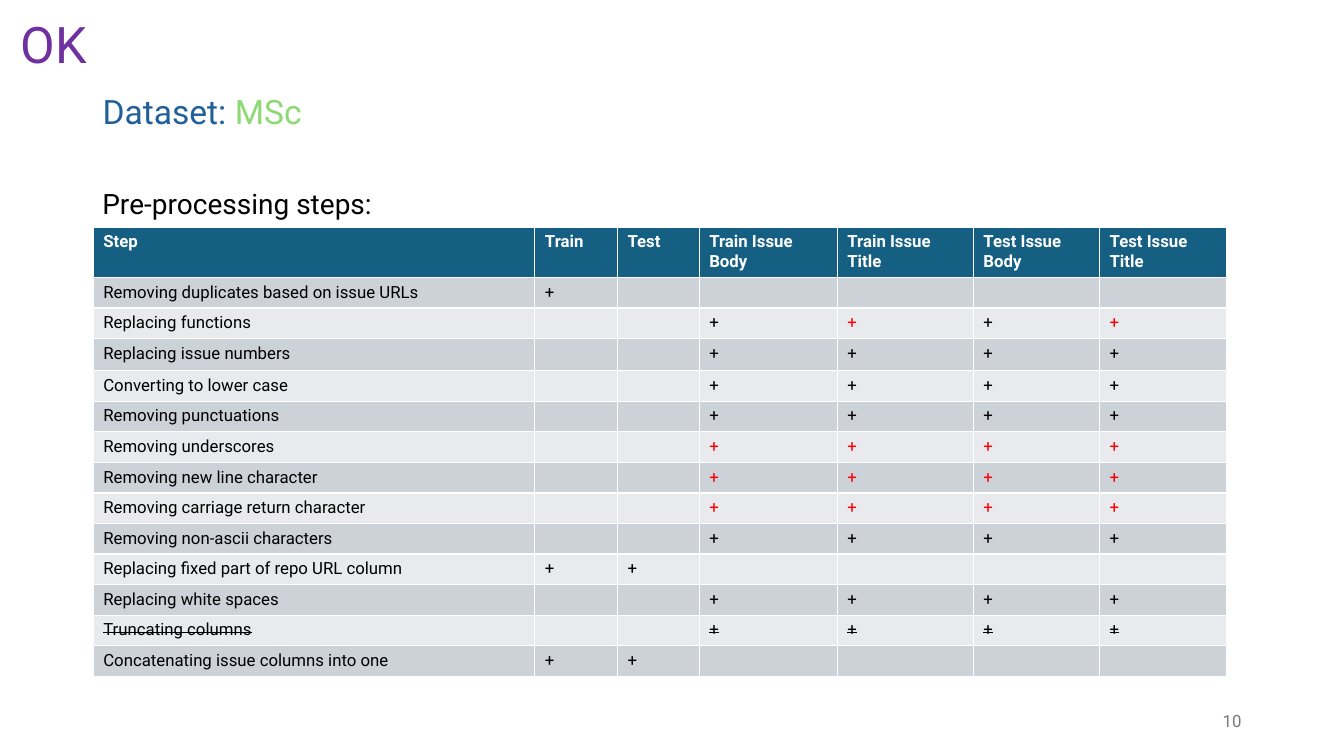
from lxml import etree
from pptx import Presentation
from pptx.dml.color import RGBColor
from pptx.enum.text import MSO_ANCHOR, MSO_AUTO_SIZE, PP_ALIGN
from pptx.oxml.ns import qn
from pptx.util import Cm, Pt

LEFT, RIGHT = PP_ALIGN.LEFT, PP_ALIGN.RIGHT
MIDDLE = MSO_ANCHOR.MIDDLE
NO_AUTOFIT = MSO_AUTO_SIZE.NONE
TITLE_ONLY = 5
COLORS = {
    "black": "000000", "white": "FFFFFF", "red": "FF0000", "purple": "7030A0",
    "blue": "215F9A", "green": "8ED973", "gray": "797979",
    "header": "156082", "dark band": "CCD2D8", "light band": "E8EAED",
}


def add_run(paragraph, text, size, color, bold=False, strike=False):
    run = paragraph.add_run()
    run.text = text
    run.font.name = "Roboto"
    run.font.size = Pt(size)
    run.font.bold = bold
    run.font.color.rgb = RGBColor.from_string(COLORS[color])
    if strike:
        run.font._element.set("strike", "sngStrike")


def add_label(slide, box, text, size, color, align=LEFT):
    shape = slide.shapes.add_textbox(*(Cm(length) for length in box))
    shape.text_frame.word_wrap = True
    paragraph = shape.text_frame.paragraphs[0]
    paragraph.alignment = align
    add_run(paragraph, text, size, color)
    return shape


presentation = Presentation()
presentation.slide_width, presentation.slide_height = Cm(33.87), Cm(19.05)
slide = presentation.slides.add_slide(presentation.slide_layouts[TITLE_ONLY])

# Title
title = slide.shapes.title
title.left, title.top, title.width, title.height = Cm(2.33), Cm(1.01), Cm(31.53), Cm(3.68)
title.text_frame.auto_size = NO_AUTOFIT
title.text_frame.vertical_anchor = MIDDLE
title_paragraph = title.text_frame.paragraphs[0]
title_paragraph.alignment = LEFT
title_paragraph.line_spacing = 0.9
add_run(title_paragraph, "Dataset: ", 24, "blue")
add_run(title_paragraph, "MSc", 24, "green")

# Labels and slide number
add_label(slide, (0.28, 0.2, 5.41, 1.8), "OK", 36, "purple")
add_label(slide, (2.33, 4.57, 29.21, 1.12), "Pre-processing steps:", 20, "black")
number = add_label(slide, (23.92, 17.66, 7.62, 1.01), "10", 12, "gray", RIGHT)
number.text_frame.vertical_anchor = MIDDLE

# Table content: step and one mark per column (+ black, r red, s struck, . empty)
headers = ["Step", "Train", "Test", "Train Issue Body", "Train Issue Title",
           "Test Issue Body", "Test Issue Title"]
steps = [
    ("Removing duplicates based on issue URLs", "+....."),
    ("Replacing functions", "..+r+r"),
    ("Replacing issue numbers", "..++++"),
    ("Converting to lower case", "..++++"),
    ("Removing punctuations", "..++++"),
    ("Removing underscores", "..rrrr"),
    ("Removing new line character", "..rrrr"),
    ("Removing carriage return character", "..rrrr"),
    ("Removing non-ascii characters", "..++++"),
    ("Replacing fixed part of repo URL column", "++...."),
    ("Replacing white spaces", "..++++"),
    ("Truncating columns", "..ssss"),
    ("Concatenating issue columns into one", "++...."),
]
column_widths = [11.13, 2.08, 2.06, 3.48, 3.43, 3.18, 3.21]
row_heights = [1.24, 0.77, 0.77, 0.81] + [0.77] * 10

# Table frame
table = slide.shapes.add_table(
    len(row_heights), len(column_widths), Cm(2.35), Cm(5.72),
    Cm(sum(column_widths)), Cm(sum(row_heights))).table
for column, width in zip(table.columns, column_widths):
    column.width = Cm(width)
for row, height in zip(table.rows, row_heights):
    row.height = Cm(height)

# Header row
for column_index, header in enumerate(headers):
    cell = table.cell(0, column_index)
    cell.fill.solid()
    cell.fill.fore_color.rgb = RGBColor.from_string(COLORS["header"])
    add_run(cell.text_frame.paragraphs[0], header, 12, "white", bold=True)

# Step rows
for row_index, (step, marks) in enumerate(steps, start=1):
    band = "dark band" if row_index % 2 else "light band"
    struck = "s" in marks
    for column_index, mark in enumerate([step, *marks]):
        cell = table.cell(row_index, column_index)
        cell.fill.solid()
        cell.fill.fore_color.rgb = RGBColor.from_string(COLORS[band])
        paragraph = cell.text_frame.paragraphs[0]
        if mark == ".":
            # Keep empty cells as low as the 12 pt text
            etree.SubElement(paragraph._p, qn("a:endParaRPr"), sz="1200")
            continue
        text = "+" if column_index else step
        add_run(paragraph, text, 12, "red" if mark == "r" else "black", strike=struck)

presentation.save("out.pptx")
